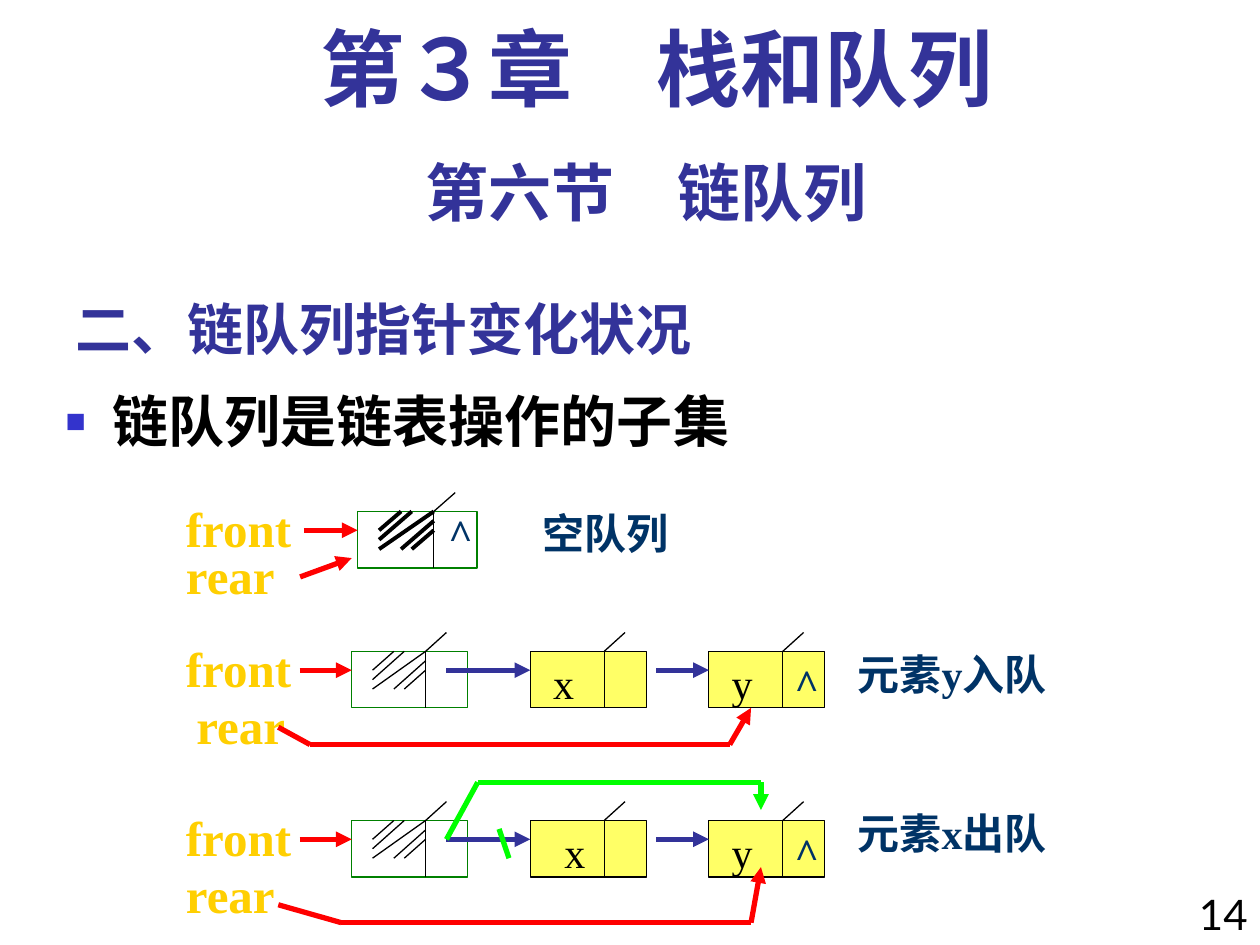
from itertools import pairwise

from lxml.etree import SubElement
from pptx import Presentation
from pptx.dml.color import RGBColor
from pptx.enum.shapes import MSO_CONNECTOR as Connector, MSO_SHAPE as Preset
from pptx.enum.text import MSO_ANCHOR as Anchor, MSO_AUTO_SIZE as AutoSize, PP_ALIGN as Align
from pptx.oxml.ns import qn
from pptx.util import Cm, Pt

COLORS = {
    "heading": "333399", "bullet": "3333CC", "text": "000000", "note": "003366",
    "label": "FFCF01", "pointer": "FF0000", "link": "333399", "change": "00FF00",
    "head_node": "008000", "node": "FFFF66", "ink": "000000",
}
SERIF, SANS, CJK = "Times New Roman", "Lato", "Noto Sans CJK SC"

# All lengths are in centimetres.
NODE_WIDTH, NODE_HEIGHT, NODE_PITCH = 2.34, 1.14, 3.6
FIRST_NODE, DIVIDER = 7.09, 1.49
LABEL_LEFT, NOTE_LEFT = 3.5, 17.04
STEP_X, STEP_Y = 0.42, 0.19
ARROW_DROP = 2 * STEP_Y
# Hatching strokes of a head node, as offsets from its top left corner.
HATCHING = [
    ((1.06, 0), (STEP_X, 3 * STEP_Y)),
    ((DIVIDER, STEP_Y), (0.85, 4 * STEP_Y)),
    ((DIVIDER, 0), (STEP_X, 4 * STEP_Y)),
    ((DIVIDER, 2 * STEP_Y), (1.06, 4 * STEP_Y)),
    ((0.85, 0), (STEP_X, 2 * STEP_Y)),
]


def rgb(name):
    return RGBColor.from_string(COLORS[name])


def write(frame, text, *, size=24, font=SERIF, color="note", bold=True,
          align=Align.LEFT, spacing=None):
    paragraph = frame.paragraphs[0]
    paragraph.alignment = align
    paragraph.space_before = Pt(0)
    if spacing:
        paragraph.line_spacing = spacing
    run = paragraph.add_run()
    run.text = text
    run.font.size, run.font.bold, run.font.name = Pt(size), bold, font
    run.font.color.rgb = rgb(color)
    SubElement(run.font._element, qn("a:ea"), typeface=CJK)
    return paragraph


class QueueSlide:
    def __init__(self, slide):
        self.slide = slide
        self.shapes = slide.shapes

    def placeholder(self, holder, text, box, anchor, **style):
        holder.left, holder.top, holder.width, holder.height = map(Cm, box)
        frame = holder.text_frame
        frame.auto_size = AutoSize.NONE
        frame.vertical_anchor = anchor
        return write(frame, text, size=32, font=CJK, **style)

    def bullet(self, paragraph):
        props = paragraph._p.get_or_add_pPr()
        props.set("marL", str(Cm(0.95)))
        props.set("indent", str(Cm(-0.95)))
        SubElement(SubElement(props, qn("a:buClr")), qn("a:srgbClr"), val=COLORS["bullet"])
        SubElement(props, qn("a:buSzPct"), val="60000")
        SubElement(props, qn("a:buChar"), char="■")

    def text(self, text, left, top, width, height=1.27, wrap=True, **style):
        frame = self.shapes.add_textbox(Cm(left), Cm(top), Cm(width), Cm(height)).text_frame
        frame.word_wrap = wrap
        write(frame, text, **style)

    def pointer_label(self, text, left, top):
        self.text(text, left, top, 2.64, 1.45, wrap=False, size=28, color="label")

    def line(self, start, end, color="ink", width=0.75, arrow=False):
        stroke = self.shapes.add_connector(Connector.STRAIGHT, *map(Cm, (*start, *end)))
        stroke.line.width = Pt(width)
        stroke.line.color.rgb = rgb(color)
        if arrow:
            SubElement(stroke.line._get_or_add_ln(), qn("a:tailEnd"), type="triangle")
        SubElement(stroke._element.spPr, qn("a:effectLst"))

    def route(self, points, color, arrow=True):
        """Draw a thick bent line, with an arrowhead on its last leg."""
        legs = list(pairwise(points))
        for number, (start, end) in enumerate(legs, 1):
            self.line(start, end, color, 3, arrow and number == len(legs))

    def node(self, left, top, scale=1, head=False):
        """Draw a box with its data and link parts and the tick above it."""
        box = self.shapes.add_shape(Preset.RECTANGLE, Cm(left), Cm(top),
                                    Cm(NODE_WIDTH * scale), Cm(NODE_HEIGHT))
        box.shadow.inherit = False
        box.line.width = Pt(0.75)
        box.line.color.rgb = rgb("head_node" if head else "ink")
        if head:
            box.fill.background()
        else:
            box.fill.solid()
            box.fill.fore_color.rgb = rgb("node")
        divider = left + DIVIDER * scale
        self.line((divider, top), (divider, top + NODE_HEIGHT))
        self.line((divider, top), (divider + STEP_X * scale, top - ARROW_DROP))

    def head_node(self, left, top, scale=1, weight=0.75):
        """Draw the hatched head node with the front pointer."""
        self.node(left, top, scale, head=True)
        for stroke in HATCHING:
            self.line(*((left + x * scale, top + y) for x, y in stroke), width=weight)
        self.pointer_label("front", LABEL_LEFT, top - ARROW_DROP)
        arrow_y = top + ARROW_DROP
        self.route([(left - 1.05 * scale, arrow_y), (left, arrow_y)], "pointer")

    def queue(self, top, x_left, rear_at, rear_route, note, note_top):
        """Draw a head node linked to x and y, with the rear pointer and a note."""
        self.head_node(FIRST_NODE, top)
        second, third = (FIRST_NODE + NODE_PITCH * i for i in (1, 2))
        arrow_y = top + ARROW_DROP
        for left, link_start in ((second, 9), (third, 13.23)):
            self.node(left, top)
            self.route([(link_start, arrow_y), (left, arrow_y)], "link")
        for value, left in (("x", x_left), ("y", 14.5)):
            self.text(value, left, top, 1.07, color="text", bold=False)
        self.text("^", 15.77, top, 1.07)
        self.pointer_label("rear", *rear_at)
        self.route(rear_route, "pointer")
        self.text(note, NOTE_LEFT, note_top, 4.45, 2.29)


def main():
    deck = Presentation()
    deck.slide_width, deck.slide_height = Cm(25.4), Cm(19.05)
    page = QueueSlide(deck.slides.add_slide(deck.slide_layouts[1]))
    title, body = page.slide.placeholders

    page.placeholder(title, "二、链队列指针变化状况", (1.27, 5.51, 15.88, 1.9),
                     Anchor.BOTTOM, color="heading")
    subset = page.placeholder(body, "链队列是链表操作的子集", (1.07, 7.82, 24.33, 11.23),
                              Anchor.TOP, color="text", spacing=0.9)
    page.bullet(subset)
    page.text("第３章　栈和队列", 1.7, 0.43, 23.06, 2.11, size=48, color="heading",
              align=Align.CENTER, spacing=0.9)
    page.text("第六节　链队列", 1.27, 2.97, 23.5, 1.78, size=36, font=SANS,
              color="heading", align=Align.CENTER)
    page.text("14", 23.7, 17.78, 1.7, 1.5, font=SANS, color="text", bold=False,
              align=Align.RIGHT)

    empty_top = 10.31
    page.head_node(7.21, empty_top, scale=1.03, weight=2.25)
    page.pointer_label("rear", LABEL_LEFT, 10.87)
    page.route([(6.05, 11.63), (7.09, 11.25)], "pointer")
    page.text("空队列", 10.69, 10.11, 3.18)
    page.text("^", 8.79, 10.11, 1, wrap=False)

    page.queue(13.13, 10.9, (3.71, 13.89),
               [(5.61, 14.66), (6.25, 15.01), (14.71, 15.01), (15.14, 14.27)],
               "元素y入队", 12.95)
    page.queue(16.54, 11.13, (LABEL_LEFT, 17.3),
               [(5.61, 18.24), (6.88, 18.6), (15.14, 18.6), (15.34, 17.48)],
               "元素x出队", 16.15)
    page.route([(9, 16.92), (9.63, 15.77), (15.34, 15.77), (15.34, 16.33)], "change")
    page.route([(10.06, 16.71), (10.26, 17.3)], "change", arrow=False)

    deck.save("out.pptx")


if __name__ == "__main__":
    main()
